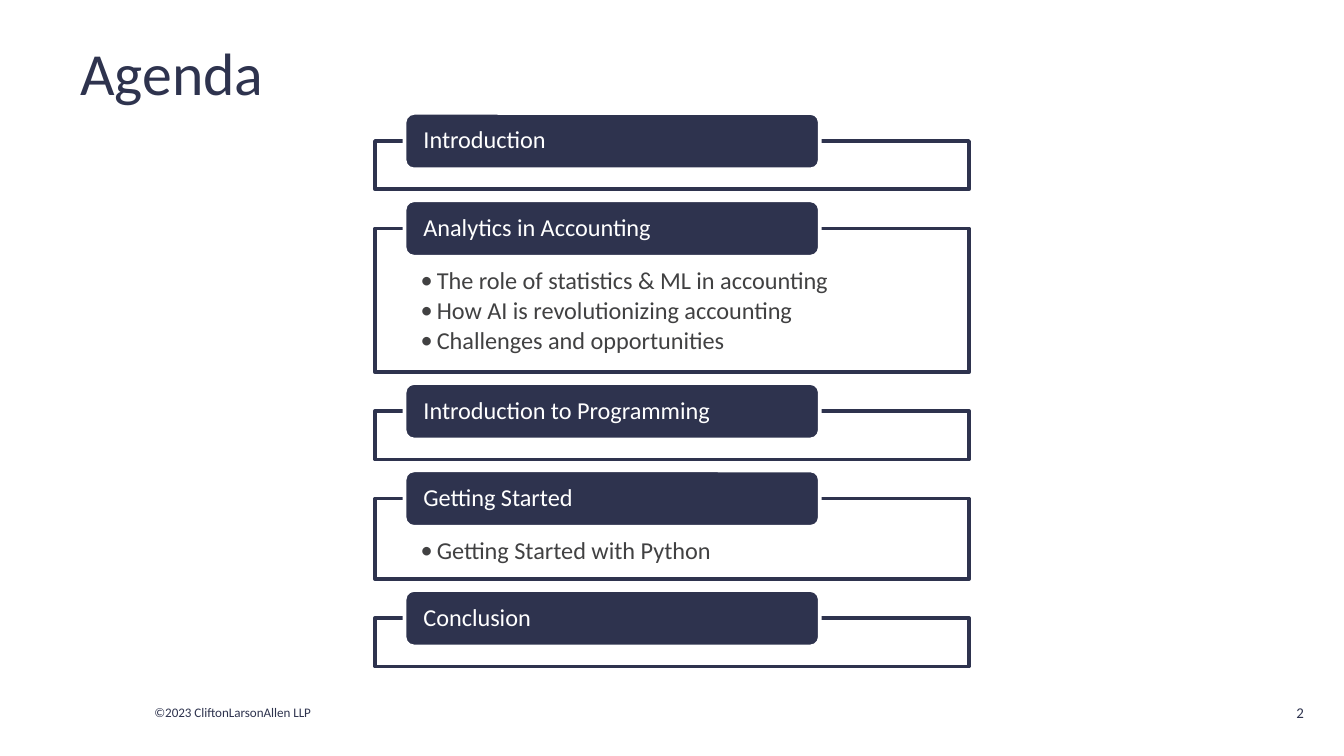
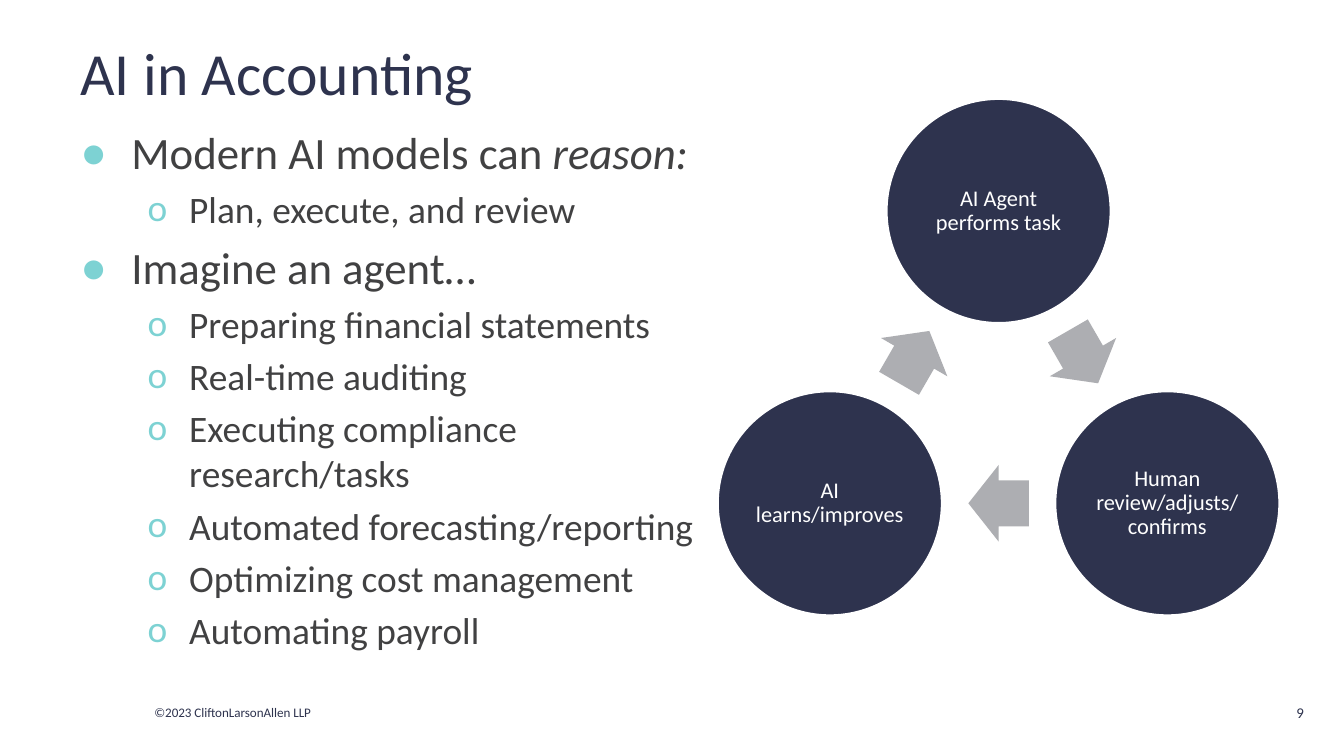
from dataclasses import dataclass
from math import cos, radians, sin

from lxml import etree
from pptx import Presentation
from pptx.dml.color import RGBColor
from pptx.enum.shapes import MSO_SHAPE
from pptx.enum.text import MSO_ANCHOR, PP_ALIGN
from pptx.oxml.ns import qn
from pptx.util import Inches, Pt

RECTANGLE, ROUNDED = MSO_SHAPE.RECTANGLE, MSO_SHAPE.ROUNDED_RECTANGLE
ELLIPSE, ARROW = MSO_SHAPE.OVAL, MSO_SHAPE.RIGHT_ARROW
TOP, MIDDLE = MSO_ANCHOR.TOP, MSO_ANCHOR.MIDDLE
LEFT, CENTER, RIGHT = PP_ALIGN.LEFT, PP_ALIGN.CENTER, PP_ALIGN.RIGHT

# Content
FOOTER = "©2023 CliftonLarsonAllen LLP"

AGENDA = [
    ("Introduction", []),
    ("Analytics in Accounting", [
        "The role of statistics & ML in accounting",
        "How AI is revolutionizing accounting",
        "Challenges and opportunities",
    ]),
    ("Introduction to Programming", []),
    ("Getting Started", ["Getting Started with Python"]),
    ("Conclusion", []),
]

# Each point is (level, [(text, italic), ...])
AI_POINTS = [
    (0, [("Modern AI models can ", False), ("reason:", True)]),
    (1, [("Plan, execute, and review", False)]),
    (0, [("Imagine an agent…", False)]),
    (1, [("Preparing financial statements", False)]),
    (1, [("Real-time auditing", False)]),
    (1, [("Executing compliance research/tasks", False)]),
    (1, [("Automated forecasting/reporting", False)]),
    (1, [("Optimizing cost management", False)]),
    (1, [("Automating payroll", False)]),
]

# Clockwise from the top
AI_CYCLE = [
    "AI Agent performs task",
    "Human review/adjusts/ confirms",
    "AI learns/improves",
]


@dataclass(frozen=True)
class Theme:
    font: str = "Calibri"
    navy: str = "2E334E"
    text: str = "414142"
    teal: str = "7DD2D3"
    gray: str = "ADAEB2"
    white: str = "FFFFFF"
    title_size: int = 32
    agenda_size: int = 13
    cycle_size: int = 12
    footer_size: int = 7
    number_size: int = 8
    outline: int = 2


THEME = Theme()


@dataclass(frozen=True)
class BulletStyle:
    character: str
    margin: float
    hanging: float
    size: int
    color: str = THEME.text
    percent: int = 100


AGENDA_BULLET = BulletStyle("•", 0.12, 0.12, THEME.agenda_size)
POINT_BULLETS = [
    BulletStyle("•", 0.38, 0.38, 24, THEME.teal, 120),
    BulletStyle("o", 0.81, 0.31, 20, THEME.teal),
]


# Text helpers
def add_run(paragraph, text, size, color, italic=False):
    run = paragraph.add_run()
    run.text = text
    run.font.name = THEME.font
    run.font.size = Pt(size)
    run.font.italic = italic
    run.font.color.rgb = RGBColor.from_string(color)


def set_bullet(paragraph, style):
    properties = paragraph._p.get_or_add_pPr()
    properties.set("marL", str(Inches(style.margin)))
    properties.set("indent", str(-Inches(style.hanging)))
    color = etree.SubElement(properties, qn("a:buClr"))
    etree.SubElement(color, qn("a:srgbClr"), val=style.color)
    etree.SubElement(properties, qn("a:buSzPct"), val=str(style.percent * 1000))
    etree.SubElement(properties, qn("a:buFont"), typeface=THEME.font)
    etree.SubElement(properties, qn("a:buChar"), char=style.character)


def set_frame(shape, anchor, insets=(0.1, 0.05, 0.1, 0.05)):
    frame = shape.text_frame
    frame.word_wrap = True
    frame.vertical_anchor = anchor
    (frame.margin_left, frame.margin_top,
     frame.margin_right, frame.margin_bottom) = map(Inches, insets)
    return frame


def next_paragraph(frame, index):
    return frame.add_paragraph() if index else frame.paragraphs[0]


def add_label(slide, box, text, size, align=LEFT):
    frame = set_frame(slide.shapes.add_textbox(*map(Inches, box)), MIDDLE)
    paragraph = frame.paragraphs[0]
    paragraph.alignment = align
    add_run(paragraph, text, size, THEME.navy)


# Shape helpers
def add_block(slide, kind, box, fill, line=None):
    shape = slide.shapes.add_shape(kind, *map(Inches, box))
    shape.shadow.inherit = False
    shape.fill.solid()
    shape.fill.fore_color.rgb = RGBColor.from_string(fill)
    if line:
        shape.line.color.rgb = RGBColor.from_string(line)
        shape.line.width = Pt(THEME.outline)
    else:
        shape.line.fill.background()
    return shape


def add_caption(shape, text, size, align, insets):
    paragraph = set_frame(shape, MIDDLE, insets).paragraphs[0]
    paragraph.alignment = align
    paragraph.line_spacing = 0.9
    add_run(paragraph, text, size, THEME.white)


def start_slide(presentation, title, number):
    slide = presentation.slides.add_slide(presentation.slide_layouts[6])
    add_label(slide, (1.05, 5.19, 1.51, 0.22), FOOTER, THEME.footer_size)
    add_label(slide, (0.5, 0.16, 9, 0.75), title, THEME.title_size)
    add_label(slide, (9.37, 5.11, 0.43, 0.38), str(number),
              THEME.number_size, RIGHT)
    return slide


# Agenda: framed sections stacked at equal gaps, each with a tab on its top edge
def build_agenda(presentation):
    slide = start_slide(presentation, "Agenda", 2)
    frame_heights = {0: 0.36, 1: 0.6, 3: 1.07}
    gap, top = 0.29, 1.05
    for heading, topics in AGENDA:
        height = frame_heights[len(topics)]
        section = add_block(slide, RECTANGLE, (2.79, top, 4.42, height),
                            THEME.white, THEME.navy)
        fill_color = section.fill._xPr.find(qn("a:solidFill"))[0]
        etree.SubElement(fill_color, qn("a:alpha"), val="90000")
        frame = set_frame(section, TOP, (0.34, 0.3, 0.34, 0.1))
        for index, topic in enumerate(topics):
            paragraph = next_paragraph(frame, index)
            set_bullet(paragraph, AGENDA_BULLET)
            paragraph.alignment = LEFT
            paragraph.line_spacing = 0.9
            paragraph.space_after = Pt(0.15 * THEME.agenda_size)
            add_run(paragraph, topic, AGENDA_BULLET.size, THEME.text)
        tab = add_block(slide, ROUNDED, (3.01, top - 0.21, 3.09, 0.42),
                        THEME.navy, THEME.white)
        add_caption(tab, heading, THEME.agenda_size, LEFT, (0.12, 0, 0.12, 0))
        top += height + gap


# AI in Accounting: bullet list beside a cycle
def add_points(slide):
    box = slide.shapes.add_textbox(*map(Inches, (0.5, 0.88, 5, 4.02)))
    frame = set_frame(box, TOP)
    for index, (level, runs) in enumerate(AI_POINTS):
        style = POINT_BULLETS[level]
        paragraph = next_paragraph(frame, index)
        paragraph.level = level
        set_bullet(paragraph, style)
        if index:
            paragraph.space_before = Pt(0.2 * style.size)
        for text, italic in runs:
            add_run(paragraph, text, style.size, THEME.text, italic)


def add_cycle(slide):
    center_x, center_y, radius = 7.43, 3.02, 1.45
    diameter, arrow_width, arrow_height = 1.68, 0.45, 0.57
    step = 360 / len(AI_CYCLE)

    def box_at(angle, distance, width, height):
        x = center_x + distance * sin(radians(angle))
        y = center_y - distance * cos(radians(angle))
        return x - width / 2, y - height / 2, width, height

    for index, text in enumerate(AI_CYCLE):
        angle = index * step
        node = add_block(slide, ELLIPSE,
                         box_at(angle, radius, diameter, diameter),
                         THEME.navy, THEME.white)
        add_caption(node, text, THEME.cycle_size, CENTER, (0.02,) * 4)
        # The arrow sits halfway along the chord to the next node
        middle = angle + step / 2
        arrow = add_block(slide, ARROW,
                          box_at(middle, radius * cos(radians(step / 2)),
                                 arrow_width, arrow_height), THEME.gray)
        arrow.adjustments[0], arrow.adjustments[1] = 0.6, 0.5
        arrow.rotation = middle


def build_ai_in_accounting(presentation):
    slide = start_slide(presentation, "AI in Accounting", 9)
    add_points(slide)
    add_cycle(slide)


def main():
    presentation = Presentation()
    # Widescreen, 16:9
    presentation.slide_width = Inches(10)
    presentation.slide_height = Inches(10) * 9 // 16
    build_agenda(presentation)
    build_ai_in_accounting(presentation)
    presentation.save("out.pptx")


if __name__ == "__main__":
    main()
